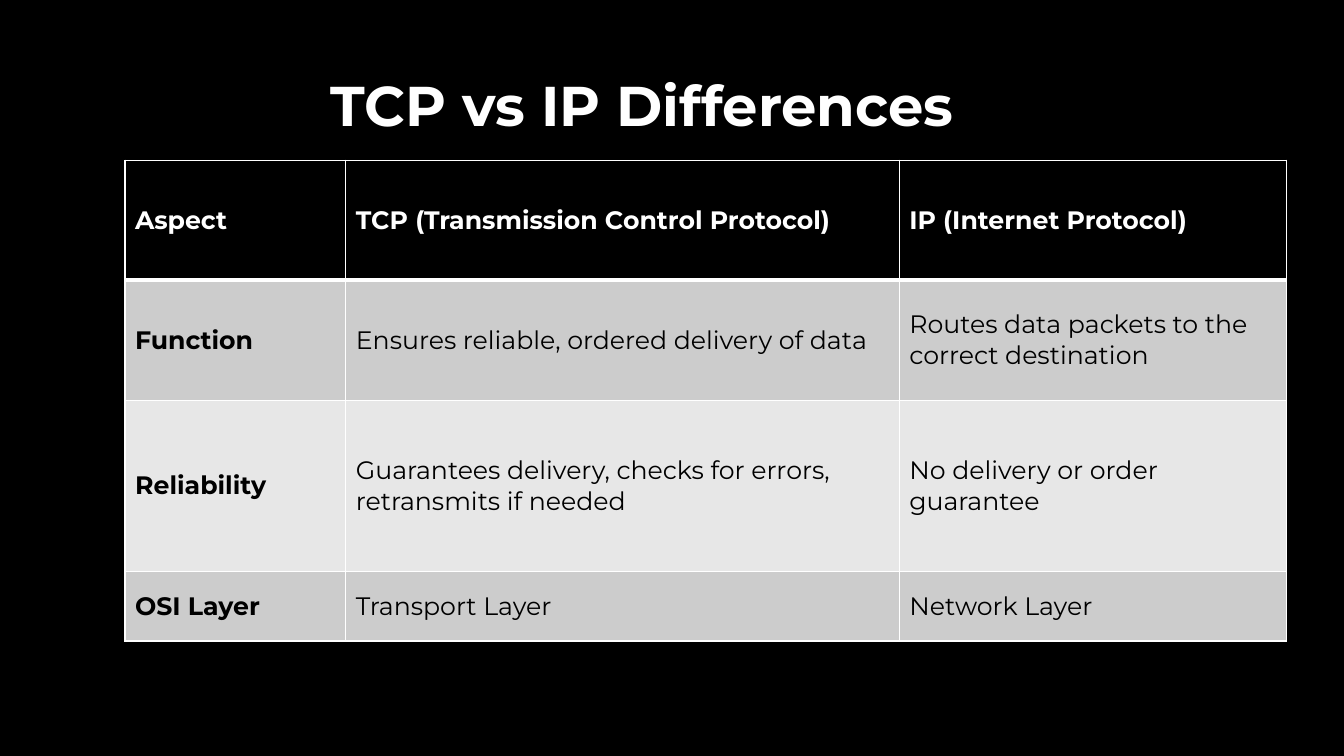
from dataclasses import dataclass

from lxml import etree
from pptx import Presentation
from pptx import util as u
from pptx.dml import color
from pptx.enum import text
from pptx.oxml import ns

FONT = "Montserrat"
WHITE, BLACK = "FFFFFF", "000000"
COLUMN_WIDTHS = [2.19, 5.49, 3.84]


@dataclass
class Row:
    height: float
    fill: str
    ink: str
    texts: tuple[str, str, str]
    header: bool = False


ROWS = [
    Row(1.19, BLACK, WHITE,
        ("Aspect", "TCP (Transmission Control Protocol)", "IP (Internet Protocol)"), True),
    Row(1.19, "CCCCCC", BLACK,
        ("Function", "Ensures reliable, ordered delivery of data",
         "Routes data packets to the correct destination")),
    Row(1.7, "E7E7E7", BLACK,
        ("Reliability", "Guarantees delivery, checks for errors, retransmits if needed",
         "No delivery or order guarantee")),
    Row(0.69, "CCCCCC", BLACK, ("OSI Layer", "Transport Layer", "Network Layer")),
]


def rgb(value: str) -> color.RGBColor:
    return color.RGBColor.from_string(value)


def add_span(para, words: str, size: float, ink: str, bold: bool) -> None:
    span = para.add_run()
    span.text = words
    span.font.name = FONT
    span.font.size = u.Pt(size)
    span.font.bold = bold
    span.font.color.rgb = rgb(ink)


def set_borders(cell, top: float, bottom: float) -> None:
    """Draw white cell borders; they must come before the fill in the XML."""
    properties = cell._tc.get_or_add_tcPr()
    sides = {"lnL": 1, "lnR": 1, "lnT": top, "lnB": bottom}
    for position, (side, points) in enumerate(sides.items()):
        line = etree.Element(ns.qn(f"a:{side}"), w=str(u.Pt(points)))
        fill = etree.SubElement(line, ns.qn("a:solidFill"))
        etree.SubElement(fill, ns.qn("a:srgbClr"), val=WHITE)
        properties.insert(position, line)


def add_title(page) -> None:
    box = page.shapes.add_textbox(u.Inches(0.61), u.Inches(0.65), u.Inches(11.52), u.Inches(0.77))
    frame = box.text_frame
    frame.word_wrap = True
    frame.auto_size = text.MSO_AUTO_SIZE.SHAPE_TO_FIT_TEXT
    para = frame.paragraphs[0]
    para.alignment = text.PP_ALIGN.CENTER
    add_span(para, "TCP vs IP Differences", 40, WHITE, True)


def add_comparison(page) -> None:
    table = page.shapes.add_table(
        len(ROWS), len(COLUMN_WIDTHS), u.Inches(1.24), u.Inches(1.59),
        u.Inches(sum(COLUMN_WIDTHS)), u.Inches(sum(row.height for row in ROWS))).table
    for column, width in zip(table.columns, COLUMN_WIDTHS):
        column.width = u.Inches(width)
    for r, row in enumerate(ROWS):
        table.rows[r].height = u.Inches(row.height)
        for c, words in enumerate(row.texts):
            cell = table.cell(r, c)
            cell.vertical_anchor = text.MSO_ANCHOR.MIDDLE
            cell.fill.solid()
            cell.fill.fore_color.rgb = rgb(row.fill)
            # The rule under the header is shared by the first two rows
            set_borders(cell, top=3 if r == 1 else 1, bottom=3 if row.header else 1)
            add_span(cell.text_frame.paragraphs[0], words, 18, row.ink, row.header or c == 0)


def main() -> None:
    deck = Presentation()
    deck.slide_width, deck.slide_height = u.Inches(13.33), u.Inches(7.5)
    page = deck.slides.add_slide(deck.slide_layouts[6])

    # Background
    page.background.fill.solid()
    page.background.fill.fore_color.rgb = rgb(BLACK)

    # Content
    add_comparison(page)
    add_title(page)
    deck.save("out.pptx")


if __name__ == "__main__":
    main()
